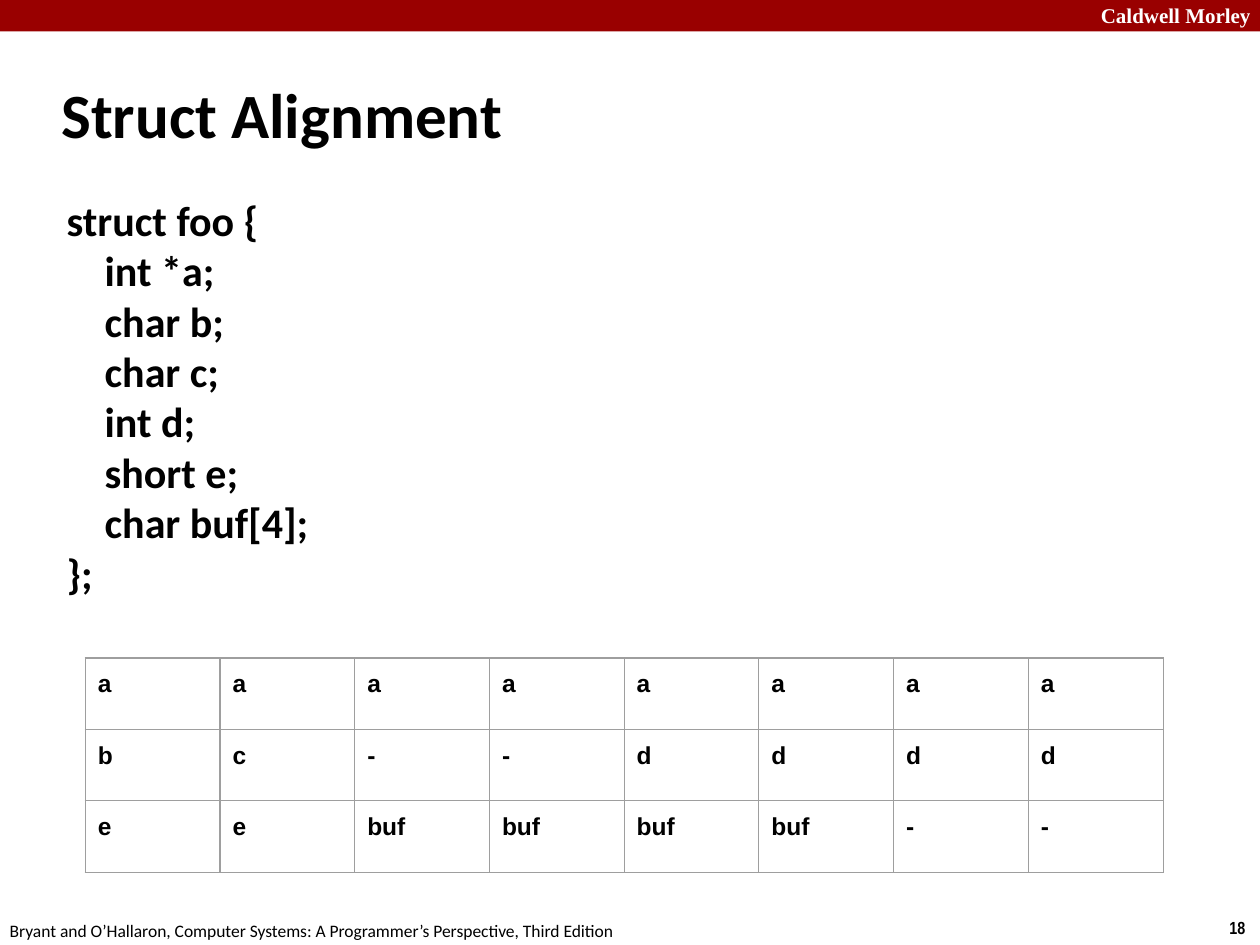
"""Build the Struct Alignment slide with its code listing and memory layout table."""
import pptx
import pptx.util
import pptx.dml.color
import pptx.enum.shapes
import pptx.enum.text
import pptx.oxml
import pptx.oxml.ns

Pt = pptx.util.Pt
MIDDLE = pptx.enum.text.MSO_ANCHOR.MIDDLE
COLORS = {"bar": "990000", "white": "FFFFFF", "text": "000000", "grid": "9E9E9E"}

SMALL_TEXTS = [
    ("Caldwell Morley", (622, -2, 103, 22), {"size": 12, "name": "Times New Roman", "bold": True, "color": "white"}),
    ("18", (695.5, 520.5, 24.5, 19.5), {"size": 10, "name": "Arial Narrow", "bold": True}),
    ("Bryant and O’Hallaron, Computer Systems: A Programmer’s Perspective, Third Edition",
     (-1.5, 522, 366, 19.5), {"size": 10, "name": "Calibri"}),
]
TITLE = ("Struct Alignment", (28, 34.5, 597.5, 60), {"size": 36, "name": "Calibri", "bold": True})
CODE = [("struct foo {", 0), ("int *a;", 1), ("char b;", 1), ("char c;", 1), ("int d;", 1),
        ("short e;", 1), ("char buf[4];", 1), ("};", 0)]
CODE_BOX = (31, 107.5, 622, 391.5)
CODE_FONT = {"size": 24, "name": "Calibri", "bold": True}
CODE_INDENT, CODE_PITCH = 21.7, 28.8
MEMORY = ["a a a a a a a a".split(), "b c - - d d d d".split(), "e e buf buf buf buf - -".split()]
CELL_FONT = {"size": 14, "name": "Arial", "bold": True}
CELL_W, CELL_H, CELL_MARGIN = 77, 40.8, 7.2
TABLE_X, TABLE_Y = 48.7, 376


def rgb(key):
    return pptx.dml.color.RGBColor.from_string(COLORS[key])


def write(p, text, fmt):
    r = p.add_run()
    r.text = text
    values = {"bold": False, **fmt, "size": Pt(fmt["size"])}
    r.font.color.rgb = rgb(values.pop("color", "text"))
    for name, value in values.items():
        setattr(r.font, name, value)


def add_box(slide, box, wrap=True):
    tf = slide.shapes.add_textbox(*map(Pt, box)).text_frame
    tf.word_wrap = wrap
    return tf


def add_code(slide):
    tf = add_box(slide, CODE_BOX)
    for i, (line, level) in enumerate(CODE):
        p = tf.add_paragraph() if i else tf.paragraphs[0]
        p.line_spacing = Pt(CODE_PITCH)
        p._p.get_or_add_pPr().set("marL", str(Pt(level * CODE_INDENT)))
        write(p, line, CODE_FONT)


def add_borders(cell):
    tcPr = cell._tc.get_or_add_tcPr()
    for i, side in enumerate(("lnL", "lnR", "lnT", "lnB")):
        tcPr.insert(i, pptx.oxml.parse_xml(
            f'<a:{side} {pptx.oxml.ns.nsdecls("a")} w="{Pt(0.75)}"><a:solidFill>'
            f'<a:srgbClr val="{COLORS["grid"]}"/></a:solidFill></a:{side}>'))


def add_memory(slide):
    rows, cols = len(MEMORY), len(MEMORY[0])
    size = (TABLE_X, TABLE_Y, cols * CELL_W, rows * CELL_H)
    table = slide.shapes.add_table(rows, cols, *map(Pt, size)).table
    table.first_row = table.horz_banding = False
    for col in table.columns:
        col.width = Pt(CELL_W)
    for row, texts in zip(table.rows, MEMORY):
        row.height = Pt(CELL_H)
        for cell, text in zip(row.cells, texts):
            for side in ("left", "right", "top", "bottom"):
                setattr(cell, f"margin_{side}", Pt(CELL_MARGIN))
            cell.fill.background()
            add_borders(cell)
            write(cell.text_frame.paragraphs[0], text, CELL_FONT)


def main():
    prs = pptx.Presentation()
    prs.slide_width, prs.slide_height = Pt(720), Pt(540)
    slide = prs.slides.add_slide(prs.slide_layouts[6])
    bar = slide.shapes.add_shape(pptx.enum.shapes.MSO_SHAPE.RECTANGLE, 0, 0, Pt(720), Pt(18))
    bar.shadow.inherit = False
    bar.fill.solid()
    bar.fill.fore_color.rgb = rgb("bar")
    bar.line.fill.background()
    for text, box, fmt in SMALL_TEXTS:
        write(add_box(slide, box, False).paragraphs[0], text, fmt)
    text, box, fmt = TITLE
    tf = add_box(slide, box)
    tf.vertical_anchor = MIDDLE
    write(tf.paragraphs[0], text, fmt)
    add_code(slide)
    add_memory(slide)
    prs.save("out.pptx")


if __name__ == "__main__":
    main()
